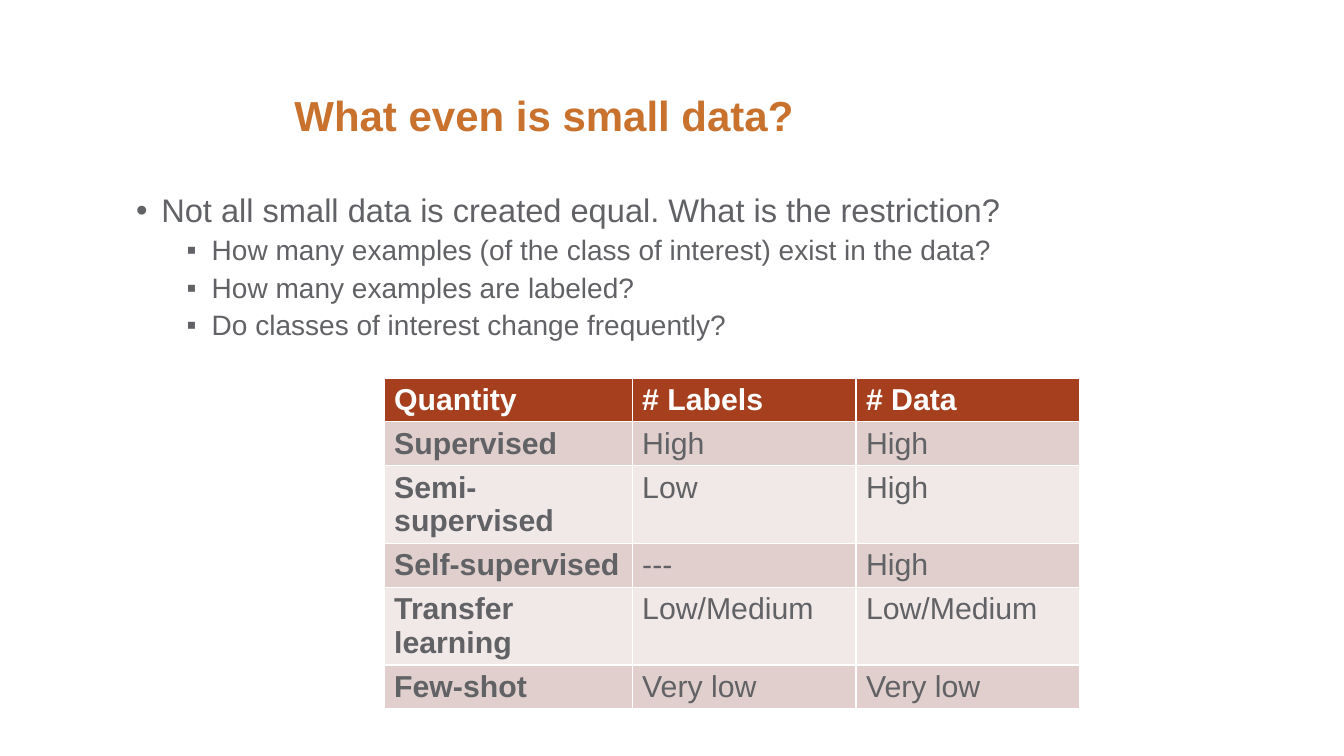
"""Build the slide on what counts as small data."""
import pptx
import pptx.dml.color
import pptx.enum.text
import pptx.oxml.ns
import pptx.util
from lxml import etree
from pptx.util import Inches


def style_font(font, size, color, bold=False):
    font.name = "Arial"
    font.size = pptx.util.Pt(size)
    font.bold = bold
    font.color.rgb = pptx.dml.color.RGBColor.from_string(color)


ORANGE, RUST, GRAY, WHITE = "C8722E", "A63F1E", "616265", "FFFFFF"
BANDS = ["F1E8E8", "E1CFCD"]

deck = pptx.Presentation()
deck.slide_width, deck.slide_height = Inches(13.33), Inches(7.5)
slide = deck.slides.add_slide(deck.slide_layouts[1])

heading = slide.shapes.title
heading.left, heading.top = Inches(2.92), Inches(0.25)
heading.width, heading.height = Inches(10), Inches(1.19)
heading_frame = heading.text_frame
heading_frame.text = "What even is small data?"
heading_frame.margin_left = 0
heading_frame.auto_size = pptx.enum.text.MSO_AUTO_SIZE.NONE
heading_frame.vertical_anchor = pptx.enum.text.MSO_ANCHOR.BOTTOM
heading_line = heading_frame.paragraphs[0]
heading_line.alignment = pptx.enum.text.PP_ALIGN.LEFT
heading_line.line_spacing = 0.9
style_font(heading_line.font, 30, ORANGE, True)

questions = slide.placeholders[1]
questions.left, questions.top = Inches(1.25), Inches(1.88)
questions.width, questions.height = Inches(11.67), Inches(5)
questions_frame = questions.text_frame
questions_frame.auto_size = pptx.enum.text.MSO_AUTO_SIZE.NONE
questions_frame.text = "\n".join([
    "Not all small data is created equal. What is the restriction?",
    "How many examples (of the class of interest) exist in the data?",
    "How many examples are labeled?",
    "Do classes of interest change frequently?",
])
for number, question in enumerate(questions_frame.paragraphs):
    level = min(number, 1)
    question.level = level
    question.line_spacing = 0.9
    question.space_before = pptx.util.Pt(5 * level)
    properties = question._p.get_or_add_pPr()
    properties.set("marL", str(Inches([0.25, 0.75][level])))
    properties.set("indent", str(Inches(-0.25)))
    etree.SubElement(properties, pptx.oxml.ns.qn("a:buFont"), typeface="Arial")
    etree.SubElement(properties, pptx.oxml.ns.qn("a:buChar"), char="•▪"[level])
    style_font(question.font, [23.3, 20][level], GRAY)

regimes = [
    ("Quantity", "# Labels", "# Data"),
    ("Supervised", "High", "High"),
    ("Semi-supervised", "Low", "High"),
    ("Self-supervised", "---", "High"),
    ("Transfer learning", "Low/Medium", "Low/Medium"),
    ("Few-shot", "Very low", "Very low"),
]
regime_table = slide.shapes.add_table(
    len(regimes), 3, Inches(3.81), Inches(3.75), Inches(6.9), Inches(2.43)).table
for column, width in zip(regime_table.columns, [2.46, 2.22, 2.22]):
    column.width = Inches(width)
for row, regime in enumerate(regimes):
    for col, value in enumerate(regime):
        cell = regime_table.cell(row, col)
        cell.text = value
        cell.fill.solid()
        cell.fill.fore_color.rgb = pptx.dml.color.RGBColor.from_string(
            BANDS[row % 2] if row else RUST)
        style_font(cell.text_frame.paragraphs[0].font, 21.6,
                   GRAY if row else WHITE, row == 0 or col == 0)

deck.save("out.pptx")
